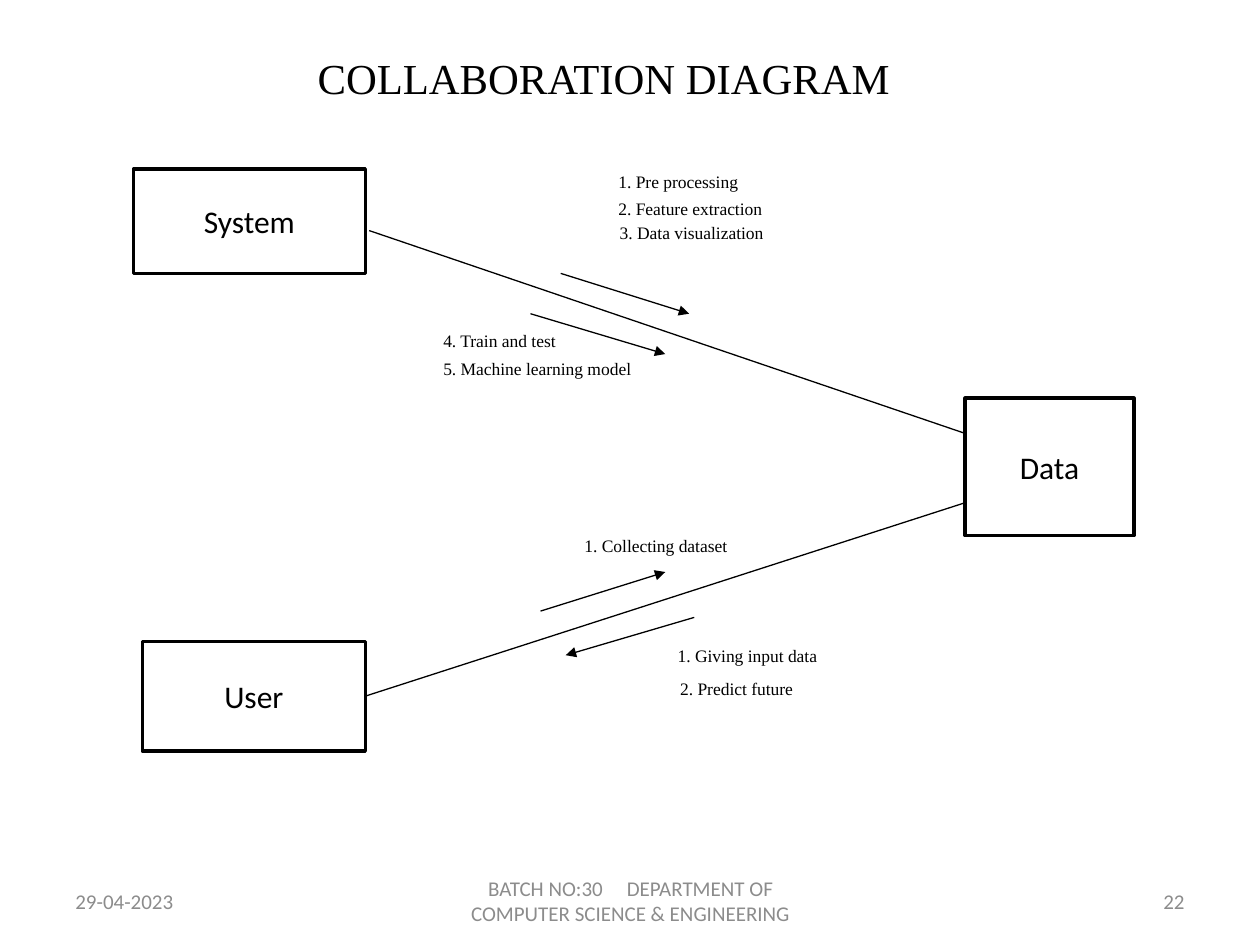
from lxml import etree
from pptx import Presentation
from pptx.dml.color import RGBColor
from pptx.enum.shapes import MSO_CONNECTOR, MSO_SHAPE
from pptx.enum.text import MSO_ANCHOR, MSO_AUTO_SIZE, PP_ALIGN
from pptx.oxml.ns import qn
from pptx.util import Inches, Pt

LEFT, CENTER, RIGHT = PP_ALIGN.LEFT, PP_ALIGN.CENTER, PP_ALIGN.RIGHT
TOP, MIDDLE = MSO_ANCHOR.TOP, MSO_ANCHOR.MIDDLE
NO_AUTOFIT = MSO_AUTO_SIZE.NONE
STRAIGHT, RECTANGLE = MSO_CONNECTOR.STRAIGHT, MSO_SHAPE.RECTANGLE
RIGHT_SIDE = 3
TITLE_ONLY = 5

COLORS = {"ink": "000000", "paper": "FFFFFF", "footer": "8C8C8C"}
SERIF, SANS = "Times New Roman", "Calibri"


class DiagramSlide:
    """Holds the style and the current slide."""

    def __init__(self, deck):
        self.slide = deck.slides.add_slide(deck.slide_layouts[TITLE_ONLY])
        self.shapes = self.slide.shapes

    def color(self, name):
        return RGBColor.from_string(COLORS[name])

    def style_text(self, shape, size, font, color="ink", align=LEFT, anchor=TOP):
        frame = shape.text_frame
        frame.word_wrap = True
        frame.auto_size = NO_AUTOFIT
        frame.vertical_anchor = anchor
        para = frame.paragraphs[0]
        para.alignment = align
        para.font.size = Pt(size)
        para.font.name = font
        para.font.color.rgb = self.color(color)
        return para

    def title(self, text, left, top, width, height):
        title = self.shapes.title
        title.left, title.top = Inches(left), Inches(top)
        title.width, title.height = Inches(width), Inches(height)
        title.text_frame.text = text
        self.style_text(title, 24.4, SERIF, align=CENTER, anchor=MIDDLE)

    def text_box(self, left, top, width, height):
        return self.shapes.add_textbox(
            Inches(left), Inches(top), Inches(width), Inches(height))

    def label(self, text, left, top):
        box = self.text_box(left, top, 2.2, 0.27)
        box.text_frame.text = text
        self.style_text(box, 10, SERIF)

    def footer(self, parts, left, width, align):
        box = self.text_box(left, 6.95, width, 0.4)
        para = self.style_text(box, 12, SANS, "footer", align, MIDDLE)
        for index, part in enumerate(parts):
            if index:
                # One widened space separates the parts
                gap = para.add_run()
                gap.text = " "
                gap.font._element.set("spc", "1085")
            para.add_run().text = part

    def node(self, text, left, top, width, height):
        box = self.shapes.add_shape(
            RECTANGLE, Inches(left), Inches(top), Inches(width), Inches(height))
        box.shadow.inherit = False
        box.fill.solid()
        box.fill.fore_color.rgb = self.color("paper")
        box.line.color.rgb = self.color("ink")
        box.line.width = Pt(2)
        box.text_frame.text = text
        self.style_text(box, 18, SANS, align=CENTER, anchor=MIDDLE)
        return box

    def line(self, start, end, arrow=False):
        line = self.shapes.add_connector(
            STRAIGHT, *(Inches(value) for value in start + end))
        line.line.color.rgb = self.color("ink")
        line.line.width = Pt(0.75)
        properties = line._element.spPr
        if arrow:
            outline = properties.find(qn("a:ln"))
            etree.SubElement(outline, qn("a:tailEnd"), type="triangle")
        etree.SubElement(properties, qn("a:effectLst"))
        return line


def main():
    deck = Presentation()
    deck.slide_width, deck.slide_height = Inches(10), Inches(7.5)
    page = DiagramSlide(deck)
    page.title("COLLABORATION DIAGRAM", 0.29, 0, 9, 1.23)

    # Participants
    page.node("System", 1.06, 1.34, 1.84, 0.83)
    page.node("Data", 7.66, 3.16, 1.34, 1.09)
    user = page.node("User", 1.13, 5.09, 1.77, 0.87)

    # Links to the data
    page.line((2.93, 1.83), (7.66, 3.44))
    user_link = page.line((2.9, 5.52), (7.66, 3.99))
    user_link.begin_connect(user, RIGHT_SIDE)

    # Message directions
    for start, end in [
        ((4.45, 2.17), (5.47, 2.49)),
        ((4.21, 2.49), (5.28, 2.81)),
        ((4.29, 4.85), (5.28, 4.54)),
        ((5.51, 4.9), (4.49, 5.2)),
    ]:
        page.line(start, end, arrow=True)

    # Messages
    for text, left, top in [
        ("1. Pre processing", 4.81, 1.31),
        ("2. Feature extraction", 4.81, 1.52),
        ("3. Data visualization", 4.82, 1.71),
        ("4. Train and test", 3.42, 2.57),
        ("5. Machine learning model", 3.42, 2.79),
        ("1. Collecting dataset", 4.54, 4.2),
        ("1. Giving input data", 5.28, 5.07),
        ("2. Predict future", 5.3, 5.33),
    ]:
        page.label(text, left, top)

    # Footer
    page.footer(["29-04-2023"], 0.5, 2.33, LEFT)
    page.footer(["BATCH NO:30", "DEPARTMENT OF COMPUTER SCIENCE & ENGINEERING"],
                3.42, 3.17, CENTER)
    page.footer(["22"], 7.17, 2.33, RIGHT)

    deck.save("out.pptx")


if __name__ == "__main__":
    main()
